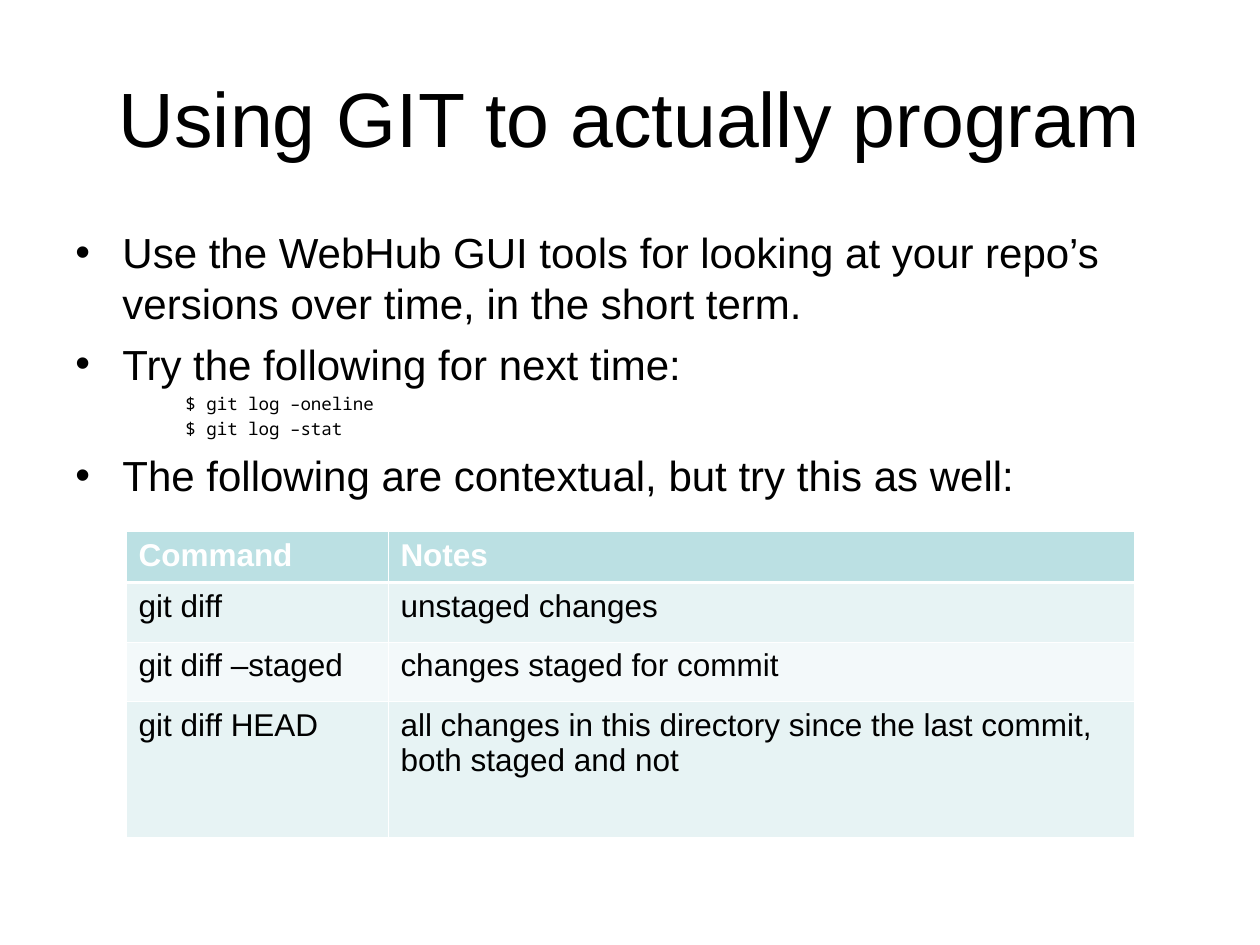
import lxml.etree
import pptx
import pptx.dml.color
import pptx.enum.text
import pptx.oxml.ns
import pptx.util

Cm, Pt = pptx.util.Cm, pptx.util.Pt
qn = pptx.oxml.ns.qn

TITLE = "Using GIT to actually program"
BODY = [
    ("point", "Use the WebHub GUI tools for looking at your repo’s versions over time, in the short term."),
    ("point", "Try the following for next time:"),
    ("code", "$ git log –oneline"),
    ("code", "$ git log –stat"),
    ("point", "The following are contextual, but try this as well:"),
]
ROWS = [
    ("Command", "Notes"),
    ("git diff", "unstaged changes"),
    ("git diff –staged", "changes staged for commit"),
    ("git diff HEAD", "all changes in this directory since the last commit, both staged and not"),
]
WIDTHS = [5.28, 15.04]
HEIGHTS = [1.02, 1.2, 1.2, 2.74]
THEME = {
    "font": "Arial", "mono": "Noto Sans Mono",
    "title": 44, "point": 24, "code": 10, "cell": 18,
    "ink": "000000", "white": "FFFFFF",
    "head": "BBE0E3", "bands": ["E7F3F4", "F3F9FA"],
    "thin": 0.45, "thick": 1.47,
}
STYLES = {
    "point": {"font": "font", "left": 0.95, "hang": -0.95, "gap": 6, "level": 0},
    "code": {"font": "mono", "left": 2.22, "hang": 0, "gap": 2.5, "level": 2},
}


def color(name):
    return pptx.dml.color.RGBColor.from_string(name)


def style(para, size, font="font", ink="ink", bold=False):
    for run in para.runs:
        run.font.name = THEME[font]
        run.font.size = Pt(THEME[size])
        run.font.color.rgb = color(THEME[ink])
        run.font.bold = bold


def place(shape, left, top, width, height):
    shape.left, shape.top = Cm(left), Cm(top)
    shape.width, shape.height = Cm(width), Cm(height)


def indent(para, kind):
    look = STYLES[kind]
    para.level = look["level"]
    para.space_before = Pt(look["gap"])
    props = para._p.get_or_add_pPr()
    props.set("marL", str(Cm(look["left"])))
    props.set("indent", str(Cm(look["hang"])))
    if kind == "point":
        lxml.etree.SubElement(props, qn("a:buFont"), typeface=THEME["font"])
        lxml.etree.SubElement(props, qn("a:buChar"), char="•")
    else:
        lxml.etree.SubElement(props, qn("a:buNone"))


def border(cell, side, width):
    props = cell._tc.get_or_add_tcPr()
    line = lxml.etree.SubElement(props, qn("a:ln" + side), w=str(Pt(width)))
    fill = lxml.etree.SubElement(line, qn("a:solidFill"))
    lxml.etree.SubElement(fill, qn("a:srgbClr"), val=THEME["white"])


def add_title(slide):
    title = slide.shapes.title
    place(title, 1.27, 0.76, 22.86, 3.18)
    frame = title.text_frame
    frame.text = TITLE
    frame.vertical_anchor = pptx.enum.text.MSO_ANCHOR.MIDDLE
    para = frame.paragraphs[0]
    para.alignment = pptx.enum.text.PP_ALIGN.CENTER
    style(para, "title")


def add_body(slide):
    box = slide.shapes.add_textbox(Cm(1.27), Cm(4.45), Cm(22.86), Cm(12.57))
    frame = box.text_frame
    frame.word_wrap = True
    frame.text = "\n".join(text for kind, text in BODY)
    for para, (kind, text) in zip(frame.paragraphs, BODY):
        indent(para, kind)
        style(para, kind, STYLES[kind]["font"])


def add_grid(slide):
    grid = slide.shapes.add_table(
        len(ROWS), len(WIDTHS), Cm(2.54), Cm(10.72),
        Cm(sum(WIDTHS)), Cm(sum(HEIGHTS))).table
    for col, width in zip(grid.columns, WIDTHS):
        col.width = Cm(width)
    for row, height in zip(grid.rows, HEIGHTS):
        row.height = Cm(height)
    for r, texts in enumerate(ROWS):
        head = r == 0
        for c, text in enumerate(texts):
            cell = grid.cell(r, c)
            cell.text_frame.text = text
            style(cell.text_frame.paragraphs[0], "cell",
                  ink="white" if head else "ink", bold=head)
            for side in "LRTB":
                rule = (r, side) in [(0, "B"), (1, "T")]
                border(cell, side, THEME["thick" if rule else "thin"])
            cell.fill.solid()
            cell.fill.fore_color.rgb = color(
                THEME["head"] if head else THEME["bands"][(r - 1) % 2])


def main():
    deck = pptx.Presentation()
    deck.slide_width, deck.slide_height = Cm(25.4), Cm(19.05)
    slide = deck.slides.add_slide(deck.slide_layouts[5])
    add_title(slide)
    add_body(slide)
    add_grid(slide)
    deck.save("out.pptx")


if __name__ == "__main__":
    main()
